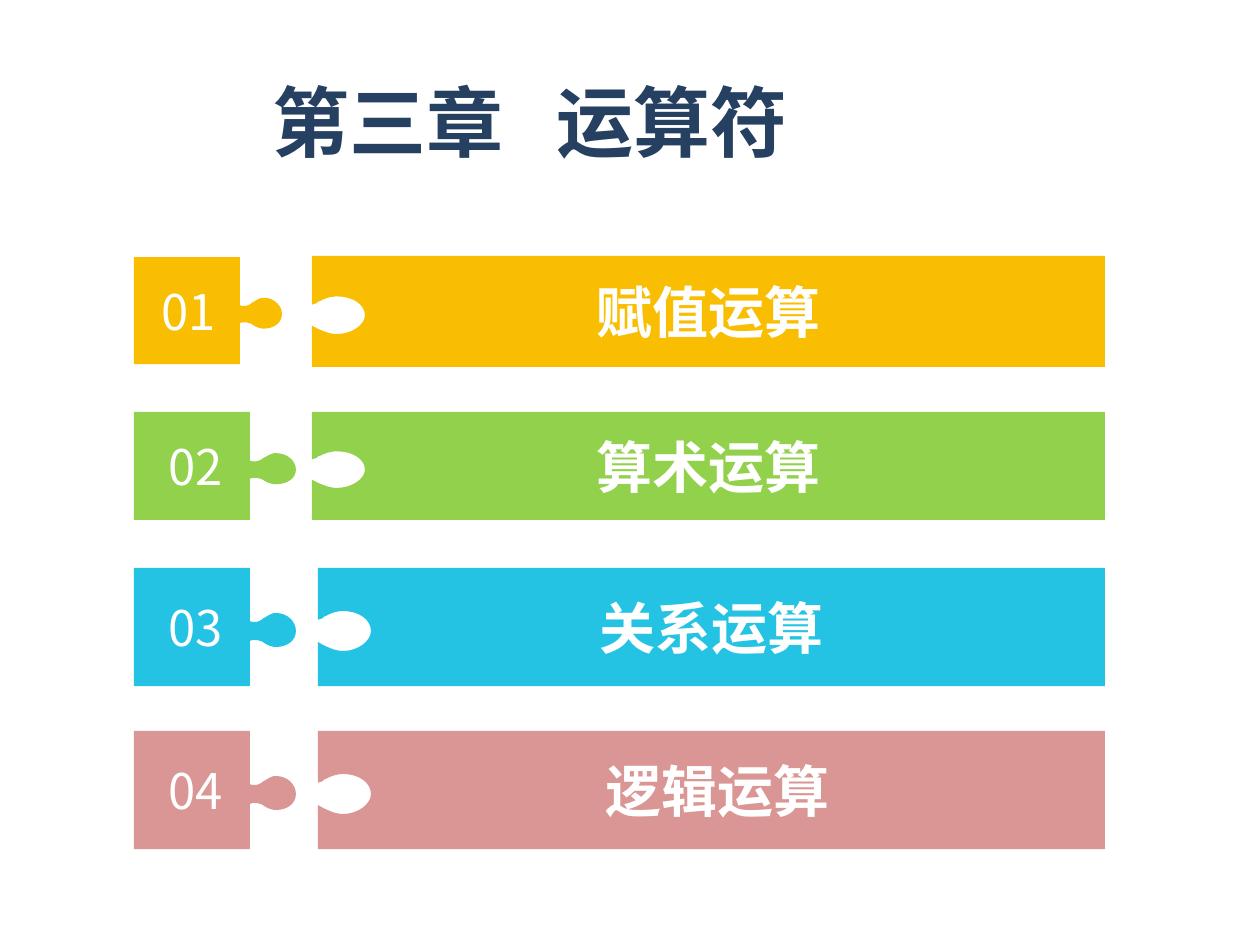
"""Build the chapter three contents slide with four rows of puzzle pieces."""
from dataclasses import dataclass

from lxml.etree import SubElement
from pptx import Presentation
from pptx.dml.color import RGBColor
from pptx.enum.text import MSO_ANCHOR, PP_ALIGN
from pptx.oxml import parse_xml
from pptx.oxml.ns import nsdecls, qn
from pptx.util import Pt


@dataclass(frozen=True)
class Theme:
    font: str = "Noto Sans CJK SC"
    heading: str = "254061"
    label: str = "FFFFFF"
    shadow: str = "EEECE1"
    amber: str = "F9BE01"
    green: str = "92D14C"
    cyan: str = "25C3E3"
    rose: str = "D99694"
    heading_size: int = 44
    number_size: int = 28
    topic_size: int = 32


THEME = Theme()
PX = 914400 // 126
CURVE_STEPS = 8
PIECE_WIDTH, PIECE_HEIGHT = 162, 118
BAR_RIGHT = 1105

KNOB = [
    (116, 53), (117, 54), (119, 54), (121, 54), (123, 54), (126, 53), (127, 52),
    (128, 52), (128, 51), (130, 50), (134, 48), (137, 45), (142, 45),
    (154, 45), (162, 54), (162, 63), (162, 72), (154, 79), (142, 79),
    (136, 79), (130, 75), (129, 74), (127, 73), (124, 72), (121, 72),
    (118, 72), (118, 72), (116, 73),
]
NOTCH = [
    (0, 52), (1, 51), (3, 51), (5, 50), (5, 49), (7, 48), (8, 48),
    (11, 46), (18, 43), (25, 43), (40, 43), (53, 51), (53, 63),
    (53, 73), (40, 83), (25, 83), (16, 83), (8, 78), (5, 77),
    (4, 76), (3, 76), (0, 74),
]


def write(shape, text, size, color, bold):
    frame = shape.text_frame
    frame.word_wrap = True
    paragraph = frame.paragraphs[0]
    paragraph.text = text
    paragraph.alignment = PP_ALIGN.CENTER
    font = paragraph.font
    font.name, font.size, font.bold = THEME.font, Pt(size), bold
    font.color.rgb = RGBColor.from_string(color)
    properties = paragraph._p.get_or_add_pPr().find(qn("a:defRPr"))
    SubElement(properties, qn("a:ea"), typeface=THEME.font)
    return paragraph, properties


def draw_piece(left, top, x_scale, y_scale, curves, corners, color):
    outline = [curves[0]]
    for start in range(0, len(curves) - 1, 3):
        a, b, c, d = curves[start:start + 4]
        for step in range(1, CURVE_STEPS + 1):
            t = step / CURVE_STEPS
            weights = ((1 - t) ** 3, 3 * t * (1 - t) ** 2, 3 * t * t * (1 - t), t ** 3)
            outline.append(tuple(
                sum(w * p[axis] for w, p in zip(weights, (a, b, c, d))) for axis in (0, 1)
            ))
    points = [
        (round((left + x * x_scale) * PX), round((top + y * y_scale) * PX))
        for x, y in outline + corners
    ]
    builder = slide.shapes.build_freeform(*points[0], scale=1.0)
    builder.add_line_segments(points[1:], close=True)
    piece = builder.convert_to_shape()
    piece.shadow.inherit = False
    piece.fill.solid()
    piece.fill.fore_color.rgb = RGBColor.from_string(color)
    piece.line.fill.background()
    piece.text_frame.vertical_anchor = MSO_ANCHOR.MIDDLE
    return piece


presentation = Presentation()
presentation.slide_width, presentation.slide_height = 1260 * PX, 945 * PX
slide = presentation.slides.add_slide(presentation.slide_layouts[6])

heading = slide.shapes.add_textbox(170 * PX, 79 * PX, 824 * PX, 93 * PX)
heading.text_frame.margin_right = 116 * PX
chapter, chapter_font = write(
    heading, "第三章   运算符", THEME.heading_size, THEME.heading, True
)
chapter.line_spacing = 0.9
chapter_font.find(qn("a:latin")).addprevious(parse_xml(
    f'<a:effectLst {nsdecls("a")}><a:outerShdw dist="38100" dir="2700000">'
    f'<a:srgbClr val="{THEME.shadow}"/></a:outerShdw></a:effectLst>'
))

rows = [
    ("01", "赋值运算", THEME.amber, 148, 257, 107, 312, 256, 111),
    ("02", "算术运算", THEME.green, 162, 412, 108, 312, 412, 108),
    ("03", "关系运算", THEME.cyan, 162, 568, 118, 318, 568, 118),
    (" 04".strip(), " 逻辑运算", THEME.rose, 162, 731, 118, 318, 731, 118),
]
for number, topic, color, tab_width, tab_top, tab_height, bar_left, bar_top, bar_height in rows:
    tab = draw_piece(
        134, tab_top, tab_width / PIECE_WIDTH, tab_height / PIECE_HEIGHT, KNOB,
        [(116, PIECE_HEIGHT), (0, PIECE_HEIGHT), (0, 0), (116, 0)], color,
    )
    tab.text_frame.margin_left, tab.text_frame.margin_right = 0, 39 * PX
    write(tab, number, THEME.number_size, THEME.label, False)

    bar_width = BAR_RIGHT - bar_left
    bar = draw_piece(
        bar_left, bar_top, 1, bar_height / PIECE_HEIGHT, NOTCH,
        [(0, PIECE_HEIGHT), (bar_width, PIECE_HEIGHT), (bar_width, 0), (0, 0)], color,
    )
    write(bar, topic, THEME.topic_size, THEME.label, True)

presentation.save("out.pptx")
